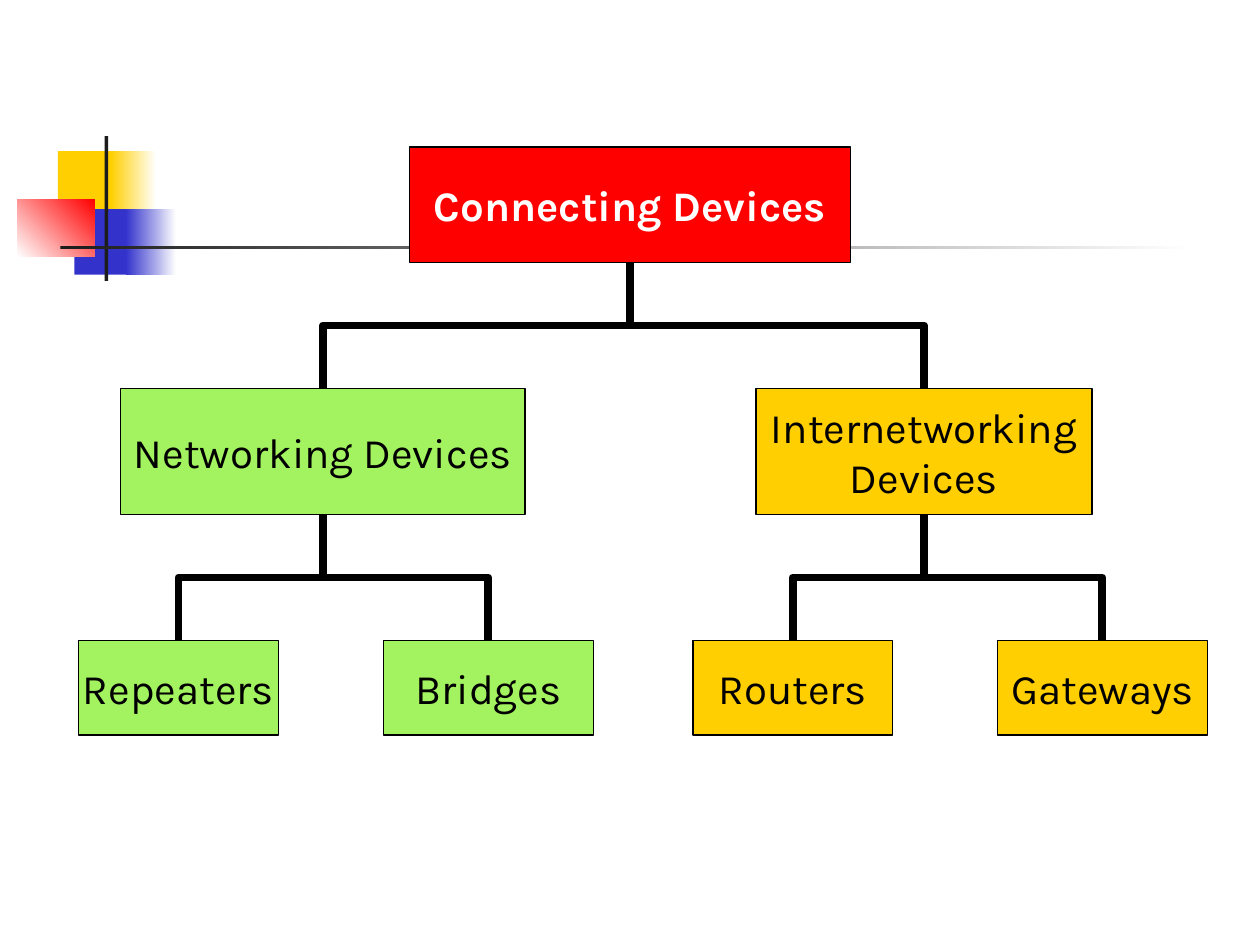
from pptx import Presentation
from pptx import util as u
from pptx.dml.color import RGBColor
from pptx.enum import shapes, text
from pptx.oxml import ns, xmlchemy

WHITE = RGBColor(0xFF, 0xFF, 0xFF)
BLACK = RGBColor(0, 0, 0)
INK = RGBColor(0x1C, 0x1C, 0x1C)
RED = RGBColor(0xFF, 0, 0)
GOLD = RGBColor(0xFF, 0xCF, 0x01)
BLUE = RGBColor(0x33, 0x33, 0xCC)
GREEN = RGBColor(0xA3, 0xF2, 0x5F)

TEXT_FORMAT = {"name": "Karla", "size": u.Pt(24)}
FRAME_FORMAT = {
    "word_wrap": False,
    "vertical_anchor": text.MSO_ANCHOR.MIDDLE,
    "margin_left": u.Inches(0.1),
    "margin_right": u.Inches(0.1),
    "margin_top": u.Inches(0.05),
    "margin_bottom": u.Inches(0.05),
}
MOTIF_GRID = (934, 115)
MOTIF_PARTS = [
    ((32, 12, 48, 52), (GOLD,), 0),
    ((74, 12, 36, 52), (GOLD, WHITE), 0),
    ((45, 58, 46, 52), (BLUE,), 0),
    ((86, 58, 40, 52), (BLUE, WHITE), 0),
    ((0, 50, 61, 46), (WHITE, RED), 45),
    ((69, 0, 3, 115), (INK,), 0),
    ((34, 87, 900, 3), (INK, WHITE), 0),
]
CHART_GRID = (120, 90)
ROOT = ("Connecting Devices", (39, 14, 42, 11))
BRANCHES = [
    (GREEN, ("Networking Devices", (11.5, 37, 38.5, 12)),
     [("Repeaters", (7.5, 61, 19, 9)), ("Bridges", (36.5, 61, 20, 9))]),
    (GOLD, ("Internetworking\nDevices", (72, 37, 32, 12)),
     [("Routers", (66, 61, 19, 9)), ("Gateways", (95, 61, 20, 9))]),
]


def apply_format(target, values):
    for key, value in values.items():
        setattr(target, key, value)


def cell(box, grid, span):
    left, top, width, height = box
    column, row = width / grid[0], height / grid[1]
    return [round(v) for v in (left + span[0] * column, top + span[1] * row,
                               span[2] * column, span[3] * row)]


def add_block(slide, place, colors, angle=0):
    block = slide.shapes.add_shape(shapes.MSO_SHAPE.RECTANGLE, *place)
    block.shadow.inherit = False
    block.line.fill.background()
    if len(colors) == 1:
        block.fill.solid()
        block.fill.fore_color.rgb = colors[0]
    else:
        block.fill.gradient()
        block.fill.gradient_angle = angle
        for stop, color, position in zip(block.fill.gradient_stops, colors, (0, 1)):
            stop.color.rgb = color
            stop.position = position
    return block


def add_motif(slide, box):
    for span, colors, angle in MOTIF_PARTS:
        add_block(slide, cell(box, MOTIF_GRID, span), colors, angle)


def add_device(slide, box, device, fill, color=BLACK, bold=False):
    label, span = device
    node = add_block(slide, cell(box, CHART_GRID, span), (fill,))
    node.line.color.rgb = BLACK
    node.line.width = u.Pt(0.75)
    apply_format(node.text_frame, FRAME_FORMAT)
    node.text_frame.text = label
    for paragraph in node.text_frame.paragraphs:
        paragraph.alignment = text.PP_ALIGN.CENTER
        apply_format(paragraph.font, {**TEXT_FORMAT, "bold": bold})
        paragraph.font.color.rgb = color
    return node


def join_devices(slide, parent, child):
    start_x, start_y = parent.left + parent.width // 2, parent.top + parent.height
    end_x, end_y = child.left + child.width // 2, child.top
    elbow = slide.shapes.add_connector(
        shapes.MSO_CONNECTOR.ELBOW, start_x, start_y, end_x, end_y)
    elbow.begin_connect(parent, 2)
    elbow.end_connect(child, 0)
    drop, reach = end_y - start_y, abs(end_x - start_x)
    apply_format(elbow, {
        "left": (start_x + end_x - drop) // 2,
        "top": (start_y + end_y - reach) // 2,
        "width": drop,
        "height": reach,
    })
    rightward = end_x > start_x
    turn = elbow._element.spPr.find(ns.qn("a:xfrm"))
    for key, value in {"rot": "16200000" if rightward else "5400000",
                       "flipH": "1" if rightward else "0", "flipV": "0"}.items():
        turn.set(key, value)
    elbow.line.color.rgb = BLACK
    elbow.line.width = u.Pt(4.5)
    elbow._element.spPr.append(xmlchemy.OxmlElement("a:effectLst"))


def add_hierarchy(slide, box):
    root = add_device(slide, box, ROOT, RED, WHITE, True)
    for fill, group, members in BRANCHES:
        parent = add_device(slide, box, group, fill)
        join_devices(slide, root, parent)
        for member in members:
            join_devices(slide, parent, add_device(slide, box, member, fill))


def main():
    deck = Presentation()
    deck.slide_width, deck.slide_height = u.Inches(10), u.Inches(7.5)
    slide = deck.slides.add_slide(deck.slide_layouts[6])
    add_motif(slide, [u.Inches(v) for v in (0.14, 1.08, 9.34, 1.15)])
    add_hierarchy(slide, (0, 0, deck.slide_width, deck.slide_height))
    deck.save("out.pptx")


if __name__ == "__main__":
    main()
